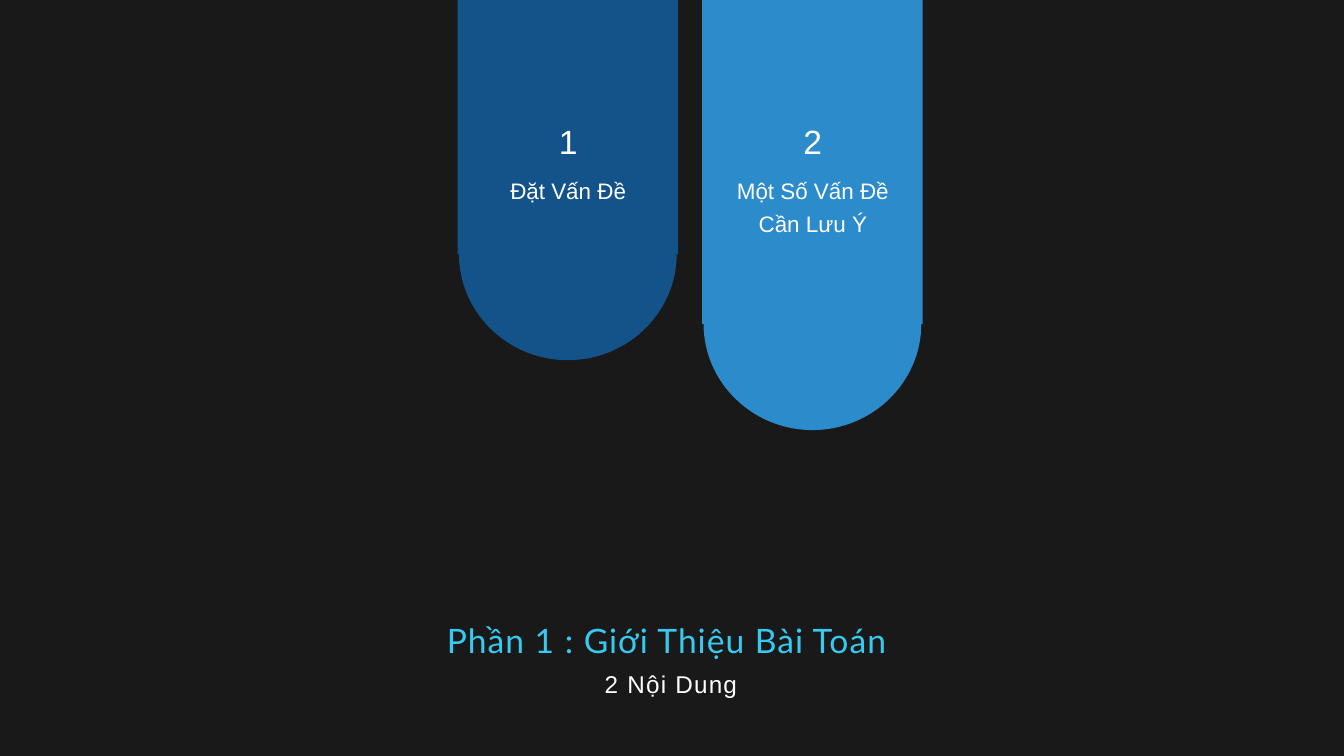
import pptx
import pptx.dml.color
import pptx.enum.text
import pptx.oxml
import pptx.util
from lxml import etree
from pptx.oxml.ns import nsdecls, qn
from pptx.util import Inches, Pt

WHITE = "FFFFFF"
PILL_WIDTH = 3.28
CAP_HEIGHT = 1.58
SHOULDER = 0.02
ARC_RATIO = 0.55

PILLS = [
    dict(left=10.45, top=-4.04, bottom=6.4, color="2C92D5", opacity=95,
         text_left=10.75, number="2", title="Một Số Vấn Đề Cần Lưu Ý", title_height=0.96),
    dict(left=6.81, top=-4.46, bottom=5.36, color="13538A", opacity=100,
         text_left=7.11, number="1", title="Đặt Vấn Đề", title_height=0.46),
]

# text, box, size, line spacing, font, colour, letter spacing
HEADINGS = [
    ("Phần 1 : Giới Thiệu Bài Toán ", (3.89, 9.18, 12.21, 0.63), 36, 46.8, "Lato", "37C9EF", 1.1),
    ("2 Nội Dung", (3.88, 9.89, 12.21, 0.46), 26, 36.4, "Arial", WHITE, 1.3),
]


def rgb(color):
    return pptx.dml.color.RGBColor.from_string(color)


def add_text(slide, text, box, size, line_spacing, font, color, letter_spacing=0):
    frame = slide.shapes.add_textbox(*map(Inches, box)).text_frame
    frame.word_wrap = True
    frame.auto_size = pptx.enum.text.MSO_AUTO_SIZE.SHAPE_TO_FIT_TEXT
    frame.margin_left = frame.margin_right = frame.margin_top = frame.margin_bottom = 0
    paragraph = frame.paragraphs[0]
    paragraph.alignment = pptx.enum.text.PP_ALIGN.CENTER
    paragraph.line_spacing = Pt(line_spacing)
    run = paragraph.add_run()
    run.text = text
    paragraph.font.size = Pt(size)
    paragraph.font.name = font
    paragraph.font.color.rgb = rgb(color)
    if letter_spacing:
        run._r.get_or_add_rPr().set("spc", str(round(letter_spacing * 100)))


def round_segment(line, start, corner, end):
    """Turn a straight segment into a quarter arc that bends towards the corner."""
    line.tag = qn("a:cubicBezTo")
    line.remove(line[0])
    controls = [tuple(p + ARC_RATIO * (c - p) for p, c in zip(point, corner))
                for point in (start, end)]
    for x, y in controls + [end]:
        etree.SubElement(line, qn("a:pt"), x=str(Inches(x)), y=str(Inches(y)))


def add_pill(slide, left, top, bottom, color, opacity):
    """Draw the pill lying down, rounded end to the left, then turn it upright."""
    length, radius = bottom - top, PILL_WIDTH / 2
    inner = PILL_WIDTH - SHOULDER
    # end point of each segment, and the corner it bends towards if it is an arc
    outline = [
        ((length, radius), None),
        ((length - radius, 0), (length, 0)),
        ((CAP_HEIGHT, 0), None),
        ((CAP_HEIGHT, SHOULDER), None),
        ((0, radius), (0, SHOULDER)),
        ((CAP_HEIGHT, inner), (0, inner)),
        ((CAP_HEIGHT, PILL_WIDTH), None),
        ((length - radius, PILL_WIDTH), None),
        ((length, radius), (length, PILL_WIDTH)),
    ]
    points = [(Inches(x), Inches(y)) for (x, y), _ in outline]
    builder = slide.shapes.build_freeform(*points[0])
    builder.add_line_segments(points[1:], close=True)
    shape = builder.convert_to_shape(Inches(left + radius - length / 2),
                                     Inches((top + bottom) / 2 - radius))
    lines = list(shape._element.spPr.iter(qn("a:lnTo")))
    for line, (start, _), (end, corner) in zip(lines, outline, outline[1:]):
        if corner:
            round_segment(line, start, corner, end)
    shape.rotation = 270
    shape.shadow.inherit = False
    shape.line.fill.background()
    shape.fill.solid()
    shape.fill.fore_color.rgb = rgb(color)
    if opacity < 100:
        fill_color = shape._element.spPr.find(".//" + qn("a:srgbClr"))
        fill_color.append(pptx.oxml.parse_xml(
            f'<a:alpha {nsdecls("a")} val="{opacity * 1000}"/>'))


def main():
    presentation = pptx.Presentation()
    presentation.slide_width = Inches(20)
    presentation.slide_height = Inches(11.25)
    slide = presentation.slides.add_slide(presentation.slide_layouts[6])
    slide.background.fill.solid()
    slide.background.fill.fore_color.rgb = rgb("191919")

    for heading in HEADINGS:
        add_text(slide, *heading)
    for pill in PILLS:
        add_pill(slide, *(pill[key] for key in ("left", "top", "bottom", "color", "opacity")))
    for pill in reversed(PILLS):
        left = pill["text_left"]
        add_text(slide, pill["number"], (left, 1.8, 2.69, 0.62), 36, 43.2, "Arial", WHITE, 3.6)
        add_text(slide, pill["title"], (left, 2.53, 2.69, pill["title_height"]),
                 24, 36, "Arial", WHITE)

    presentation.save("out.pptx")


if __name__ == "__main__":
    main()
